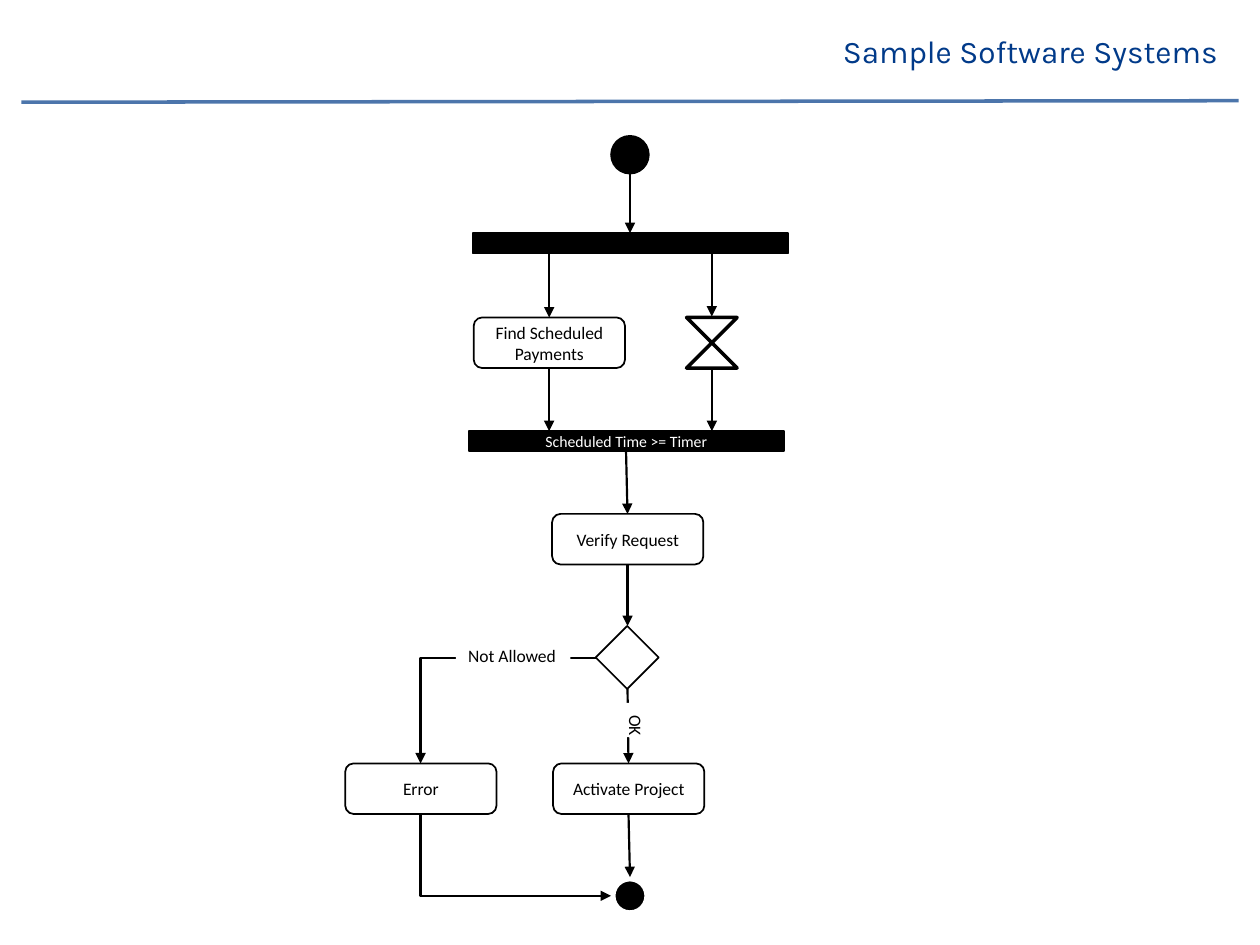
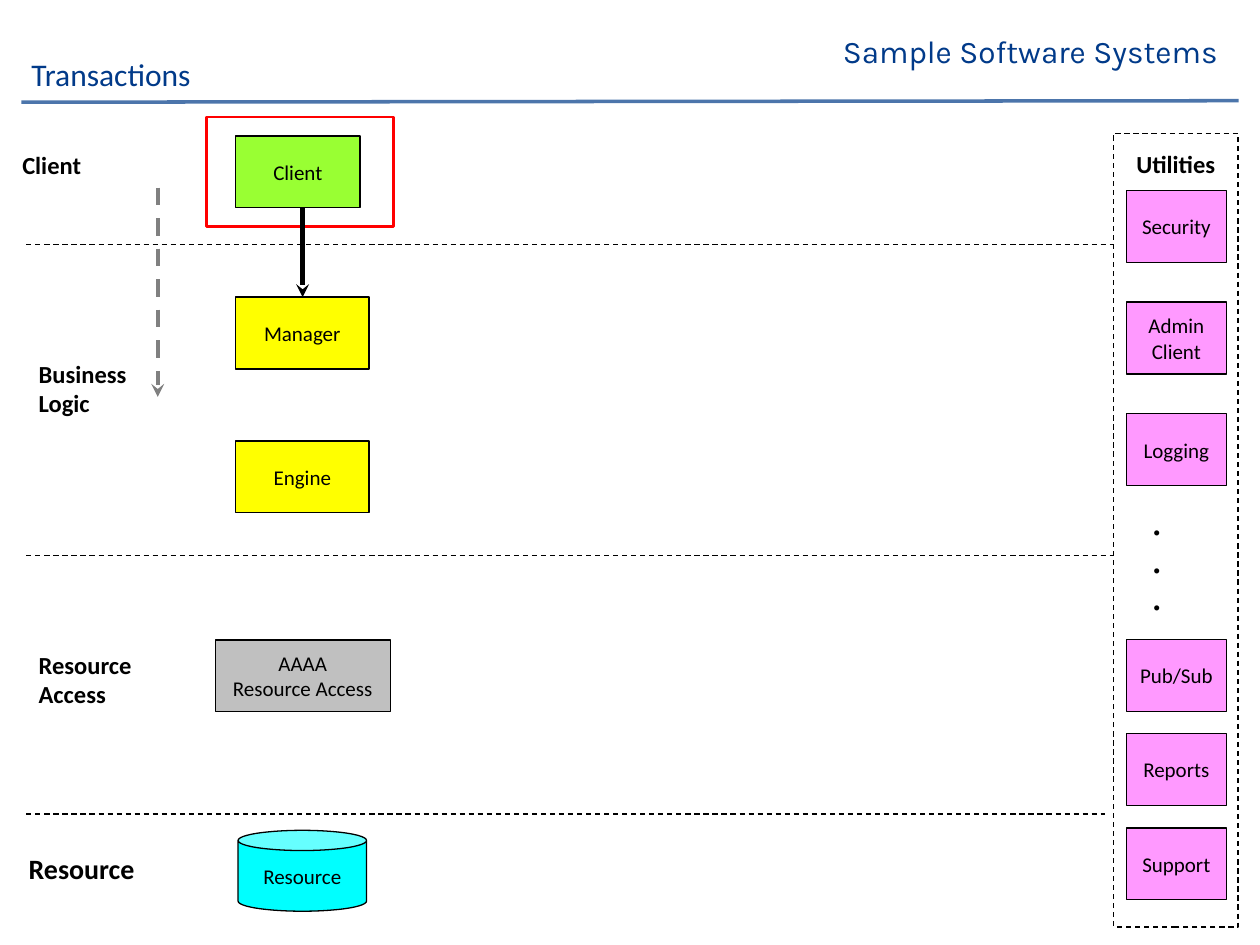
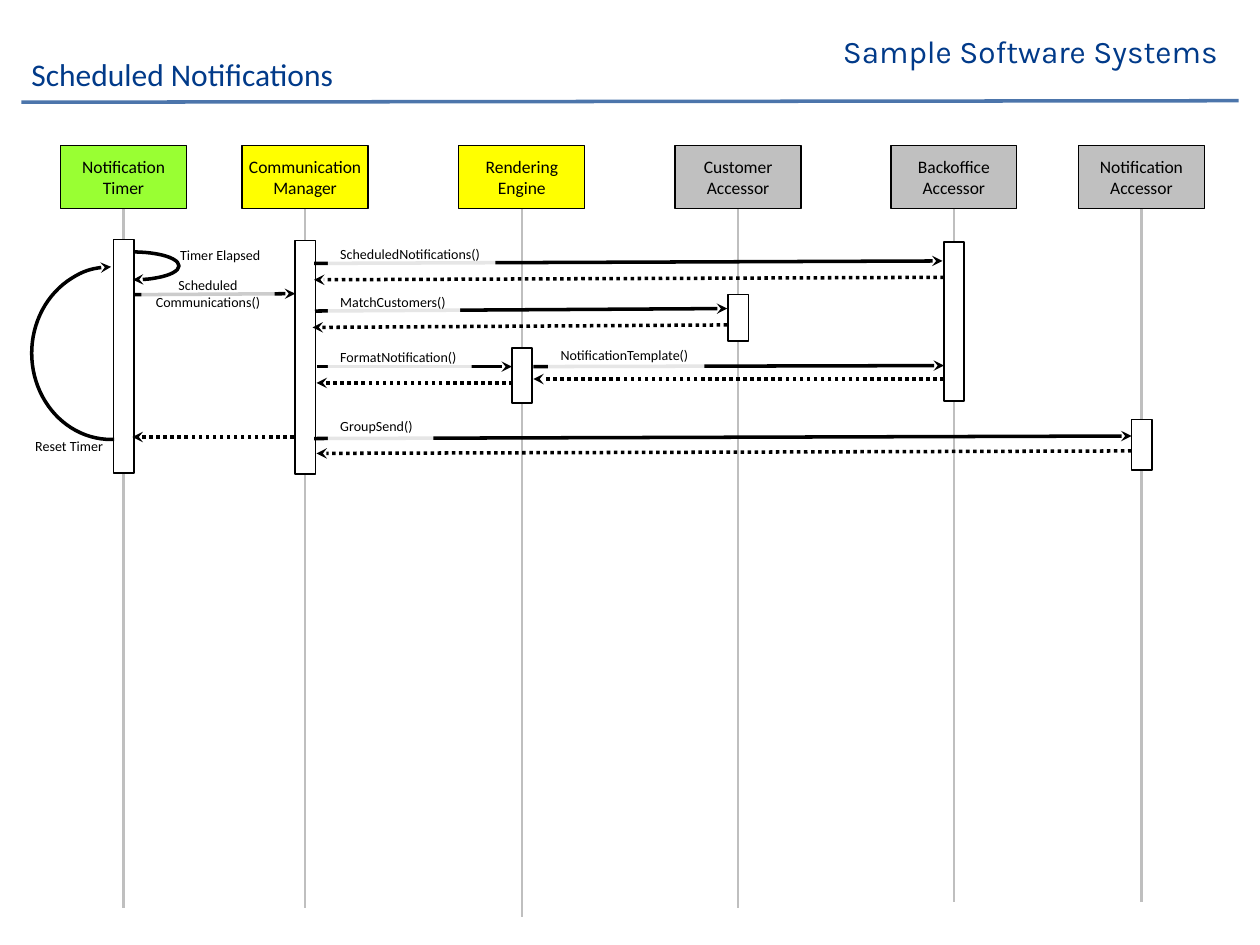
from dataclasses import dataclass
from typing import Any

from lxml.etree import SubElement
from pptx import Presentation
from pptx.dml.color import RGBColor
from pptx.enum.dml import MSO_LINE
from pptx.enum.shapes import MSO_CONNECTOR, MSO_SHAPE
from pptx.enum.text import MSO_ANCHOR, MSO_AUTO_SIZE, PP_ALIGN
from pptx.oxml.ns import qn
from pptx.util import Cm, Pt


@dataclass(frozen=True)
class Theme:
    """Colours, fonts and type sizes of the deck."""
    navy: str = "013A89"
    blue: str = "4C75AB"
    black: str = "000000"
    white: str = "FFFFFF"
    red: str = "FF0000"
    gray: str = "808080"
    pale: str = "BFBFBF"
    silver: str = "C0C0C0"
    green: str = "99FF33"
    yellow: str = "FFFF00"
    cyan: str = "00FFFF"
    pink: str = "FF99FF"
    sans: str = "Calibri"
    serif: str = "Times New Roman"
    brand: str = "Karla"
    title: int = 18
    large: int = 16
    head: int = 14
    body: int = 12
    node: int = 10
    note: int = 9
    small: int = 8


THEME = Theme()


@dataclass(frozen=True)
class Pen:
    """Look of an outline or a line."""
    width: float
    color: str = THEME.black
    dash: Any = None


THIN, EDGE, FLOW = Pen(0.75), Pen(1), Pen(1.25)
DASHED = Pen(0.75, dash=MSO_LINE.DASH)
CALL, REPLY = Pen(2), Pen(2, dash=MSO_LINE.ROUND_DOT)


def ink(line, pen):
    """Apply a pen to a line, or clear the line without one."""
    if pen is None:
        line.fill.background()
        return
    line.color.rgb = RGBColor.from_string(pen.color)
    line.width = Pt(pen.width)
    if pen.dash:
        line.dash_style = pen.dash


def tip(part, end, kind):
    """Add an arrowhead at the head or tail of a line."""
    SubElement(part.element.spPr.get_or_add_ln(), qn(f"a:{end}End"), type=kind)


def write(part, text, size, color=THEME.black, font=THEME.sans, bold=False,
          align=PP_ALIGN.CENTER, anchor=MSO_ANCHOR.MIDDLE, wrap=False,
          grow=False):
    """Fill a text frame; a newline parts paragraphs, a tab stop \\v breaks a line."""
    frame = part.text_frame
    frame.word_wrap = wrap
    frame.vertical_anchor = anchor
    frame.auto_size = MSO_AUTO_SIZE.SHAPE_TO_FIT_TEXT if grow else MSO_AUTO_SIZE.NONE
    for row, words in enumerate(text.split("\n")):
        para = frame.add_paragraph() if row else frame.paragraphs[0]
        para.alignment = align
        for turn, piece in enumerate(words.split("\v")):
            if turn:
                para.add_line_break()
            run = para.add_run()
            run.text = piece
            run.font.name, run.font.size, run.font.bold = font, Pt(size), bold
            run.font.color.rgb = RGBColor.from_string(color)
    return part


@dataclass(frozen=True)
class Pane:
    """A region of a slide whose parts are placed in cm from its corner."""
    shapes: Any
    left: float
    top: float
    width: float
    height: float

    def spot(self, x, y):
        """Turn a place in the pane into a place on the slide."""
        return Cm(self.left + x), Cm(self.top + y)

    def shape(self, kind, x, y, w, h, fill=None, pen=THIN, alpha=None):
        """Add a preset shape."""
        part = self.shapes.add_shape(kind, *self.spot(x, y), Cm(w), Cm(h))
        part.shadow.inherit = False
        if fill:
            part.fill.solid()
            part.fill.fore_color.rgb = RGBColor.from_string(fill)
        else:
            part.fill.background()
        if alpha:
            tint = part.element.spPr.find(".//" + qn("a:srgbClr"))
            SubElement(tint, qn("a:alpha"), val=str(alpha * 1000))
        ink(part.line, pen)
        return part

    def box(self, *args, **more):
        """Add a rectangle."""
        return self.shape(MSO_SHAPE.RECTANGLE, *args, **more)

    def text(self, x, y, w, h, words, size, **more):
        """Add a text box with left text at the top."""
        part = self.shapes.add_textbox(*self.spot(x, y), Cm(w), Cm(h))
        look = dict(align=PP_ALIGN.LEFT, anchor=MSO_ANCHOR.TOP, grow=True)
        return write(part, words, size, **{**look, **more})

    def line(self, x, y, to_x, to_y, pen, tail=None, head=None, bent=False):
        """Add a straight line or a line with one corner."""
        kind = MSO_CONNECTOR.ELBOW if bent else MSO_CONNECTOR.STRAIGHT
        part = self.shapes.add_connector(kind, *self.spot(x, y), *self.spot(to_x, to_y))
        ink(part.line, pen)
        for end, tag in (("head", head), ("tail", tail)):
            if tag:
                tip(part, end, tag)
        if bent:
            part.element.spPr.find(qn("a:prstGeom")).set("prst", "bentConnector2")
        SubElement(part.element.spPr, qn("a:effectLst"))
        return part


def band(slide, master):
    """Build the shared name and rule and place them on the master."""
    pane = Pane(slide.shapes, 0.43, 0.53, 24.54, 1.53)
    rule = pane.line(0, 1.53, pane.width, 1.5, Pen(2, THEME.blue))
    name = pane.text(16.31, 0, 8.48, 1.02, "Sample Software Systems", THEME.title,
                     color=THEME.navy, font=THEME.brand, wrap=True)
    for tag, part in enumerate((rule, name), 101):
        part.element.xpath("./*/p:cNvPr")[0].set("id", str(tag))
        master.shapes.element.append(part.element)


def title(slide, words):
    """Move and format the title placeholder."""
    part = slide.shapes.title
    part.left, part.top, part.width, part.height = Cm(0.38), Cm(1.07), Cm(14.66), Cm(0.94)
    write(part, words, THEME.title, color=THEME.navy, align=PP_ALIGN.LEFT, wrap=True)
    part.text_frame.paragraphs[0].line_spacing = 0.9


def flow(pane):
    """Draw the activity chart."""
    for y, pen in ((0, EDGE), (14.94, Pen(5, THEME.white))):
        pane.shape(MSO_SHAPE.FLOWCHART_CONNECTOR, 5.36, y, 0.76, 0.76, THEME.black, pen)
    pane.box(2.57, 1.96, 6.35, 0.41, THEME.black, EDGE)
    join = pane.box(2.49, 5.95, 6.35, 0.41, THEME.black, EDGE)
    write(join, "Scheduled Time >= Timer", THEME.note, THEME.white, wrap=True)
    pane.shape(MSO_SHAPE.FLOWCHART_COLLATE, 6.88, 3.66, 1.02, 1.02, THEME.white, CALL)
    pane.shape(MSO_SHAPE.FLOWCHART_DECISION, 5.05, 9.88, 1.27, 1.27, pen=EDGE)
    for x, y, words in ((2.59, 3.66, "Find Scheduled Payments"),
                        (4.17, 7.62, "Verify Request"),
                        (0, 12.65, "Error"),
                        (4.19, 12.65, "Activate Project")):
        step = pane.shape(MSO_SHAPE.FLOWCHART_ALTERNATE_PROCESS, x, y, 3.05, 1.02, pen=EDGE)
        write(step, words, THEME.node, wrap=True)
    for x, y, to_x, to_y in ((5.74, 0.77, 5.74, 1.96),
                             (4.11, 2.39, 4.11, 3.66), (7.39, 2.37, 7.39, 3.64),
                             (4.11, 4.68, 4.11, 5.95), (7.39, 4.68, 7.39, 5.95),
                             (5.66, 6.35, 5.69, 7.62), (5.69, 8.64, 5.69, 9.88),
                             (5.69, 11.15, 5.71, 12.65), (5.71, 13.67, 5.74, 14.94)):
        pane.line(x, y, to_x, to_y, FLOW, "triangle")
    pane.line(5.05, 10.52, 1.52, 12.65, FLOW, tail="triangle", bent=True)
    pane.line(5.36, 15.32, 1.52, 13.67, FLOW, head="triangle", bent=True)
    for x, y, w, words in ((5.26, 11.43, 0.94, "OK"), (2.23, 10.14, 2.31, "Not Allowed")):
        label = pane.box(x, y, w, 0.69, THEME.white, None)
        write(label, words, THEME.node, align=PP_ALIGN.LEFT,
              anchor=MSO_ANCHOR.TOP, grow=True)
        if words == "OK":
            label.element.txBody.bodyPr.set("vert", "vert")


def tiers(pane):
    """Draw the layers with their parts."""
    for y, end in ((2.57, pane.width), (8.84, pane.width), (14.05, 22.08)):
        pane.line(0.33, y, end, y, DASHED)
    for x, y, w, h, words, size in (
            (0, 0.54, 1.88, 0.84, "Client", THEME.head),
            (0.33, 4.75, 2.69, 1.45, "Business\vLogic", THEME.head),
            (0.33, 10.62, 2.39, 1.45, "Resource\nAccess", THEME.head),
            (0.13, 14.68, 2.67, 0.94, "Resource", THEME.large)):
        pane.text(x, y, w, h, words, size, bold=True)
    for x, y, w, words, fill in (
            (4.55, 0.38, 2.51, "Client", THEME.green),
            (4.55, 3.63, 2.69, "Manager", THEME.yellow),
            (4.55, 6.53, 2.69, "Engine", THEME.yellow),
            (4.14, 10.54, 3.53, "AAAA\vResource Access", THEME.silver)):
        write(pane.box(x, y, w, 1.45, fill), words, THEME.body)
    store = pane.shape(MSO_SHAPE.CAN, 4.6, 14.38, 2.59, 1.63, THEME.cyan)
    write(store, "Resource", THEME.body)
    pane.box(3.97, 0, 3.76, 2.21, pen=Pen(1.5, THEME.red))
    pane.line(5.9, 1.83, 5.9, 3.63, Pen(2.5), "stealth")
    pane.line(2.98, 1.42, 2.98, 5.64, Pen(2.5, THEME.gray, MSO_LINE.DASH), "stealth")


def tools(pane):
    """Draw the column of shared services."""
    frame = pane.box(0, 0, pane.width, pane.height, pen=DASHED)
    write(frame, "Utilities", THEME.head, bold=True, anchor=MSO_ANCHOR.TOP)
    frame.text_frame.margin_top = Cm(0.32)
    for top, gap, names in ((1.15, 2.25, ("Security", "Admin\nClient", "Logging")),
                            (10.2, 1.9, ("Pub/Sub", "Reports", "Support"))):
        for row, name in enumerate(names):
            part = pane.box(0.26, top + row * gap, 2.01, 1.45, THEME.pink)
            write(part, name, THEME.body)
    pane.text(0.54, 7.34, 0.84, 2.54, ".\v.\v.", THEME.title,
              font=THEME.serif, bold=True)


def lanes(pane):
    """Draw the headers, lifelines and active spans."""
    for x, end, top, span, fill, name in (
            (0.76, 15.39, 1.91, 4.7, THEME.green, "Notification\nTimer"),
            (4.42, 15.39, 1.93, 4.7, THEME.yellow, "Communication\nManager"),
            (8.79, 15.57, 4.09, 1.12, THEME.yellow, "Rendering\nEngine"),
            (13.15, 15.39, 3.02, 0.94, THEME.silver, "Customer\nAccessor"),
            (17.5, 15.27, 1.96, 3.2, THEME.silver, "Backoffice\nAccessor"),
            (21.28, 15.27, 5.54, 1.02, THEME.silver, "Notification\nAccessor")):
        write(pane.box(x, 0.02, 2.54, 1.27, fill), name, THEME.node)
        pane.line(x + 1.27, 1.29, x + 1.27, end, Pen(1.5, THEME.pale))
        pane.box(x + 1.07, top, 0.41, span, THEME.white, EDGE)


def calls(pane):
    """Draw the messages between the lanes."""
    for x, y, to_x, to_y in ((5.87, 2.39, 18.54, 2.34), (5.89, 3.35, 14.2, 3.3),
                             (5.94, 4.47, 9.86, 4.47), (10.29, 4.47, 18.57, 4.45),
                             (5.87, 5.92, 22.35, 5.87), (2.24, 3.02, 5.49, 3)):
        pane.line(x, y, to_x, to_y, CALL, "stealth")
    for x, y, to_x, to_y in ((18.57, 2.67, 5.87, 2.72), (14.2, 3.63, 5.84, 3.68),
                             (9.88, 4.8, 5.92, 4.8), (18.57, 4.72, 10.29, 4.72),
                             (22.35, 6.17, 5.92, 6.22), (5.46, 5.89, 2.21, 5.89)):
        pane.line(x, y, to_x, to_y, REPLY, "stealth")
    for x, y, w, words in ((6.15, 1.91, 3.38, "ScheduledNotifications()"),
                           (6.15, 2.87, 2.67, "MatchCustomers()"),
                           (6.15, 3.99, 2.9, "FormatNotification()"),
                           (10.59, 3.94, 3.15, "NotificationTemplate()"),
                           (6.15, 5.38, 2.13, "GroupSend()")):
        write(pane.box(x, y, w, 0.61, THEME.white, None, 90), words, THEME.small,
              align=PP_ALIGN.LEFT, anchor=MSO_ANCHOR.TOP, grow=True)
    write(pane.box(2.39, 2.54, 2.69, 0.94, THEME.white, None, 80),
          "Scheduled\nCommunications()", THEME.small, anchor=MSO_ANCHOR.TOP,
          wrap=True, grow=True)


def loops(pane):
    """Draw the arcs by which the timer calls itself."""
    for x, y, w, h, stop, end in ((1.32, 2.16, 1.83, 0.56, 55.73, "tail"),
                                  (0.18, 2.46, 3.2, 3.48, 55.19, "head")):
        arc = pane.shape(MSO_SHAPE.ARC, x, y, w, h, pen=CALL)
        arc.adjustments[0], arc.adjustments[1] = 162, stop
        tip(arc, end, "stealth")
        if end == "head":
            arc.element.spPr.xfrm.set("flipH", "1")
    pane.text(2.92, 1.93, 2.13, 0.61, "Timer Elapsed", THEME.small, wrap=True)
    pane.text(0, 5.77, 1.91, 0.61, "Reset Timer", THEME.small, wrap=True)


def main():
    """Build the deck and save it."""
    deck = Presentation()
    deck.slide_width, deck.slide_height = Cm(25.4), Cm(19.05)
    titled, blank = deck.slide_layouts[5], deck.slide_layouts[6]

    first = deck.slides.add_slide(blank)
    band(first, deck.slide_master)
    flow(Pane(first.shapes, 6.96, 2.74, 9.04, 15.7))

    second = deck.slides.add_slide(titled)
    title(second, "Transactions")
    tiers(Pane(second.shapes, 0.2, 2.36, 22.23, 16.01))
    tools(Pane(second.shapes, 22.45, 2.69, 2.51, 16))

    third = deck.slides.add_slide(titled)
    title(third, "Scheduled Notifications")
    pane = Pane(third.shapes, 0.46, 2.92, 23.82, 15.57)
    for draw in (lanes, calls, loops):
        draw(pane)

    deck.save("out.pptx")


main()
